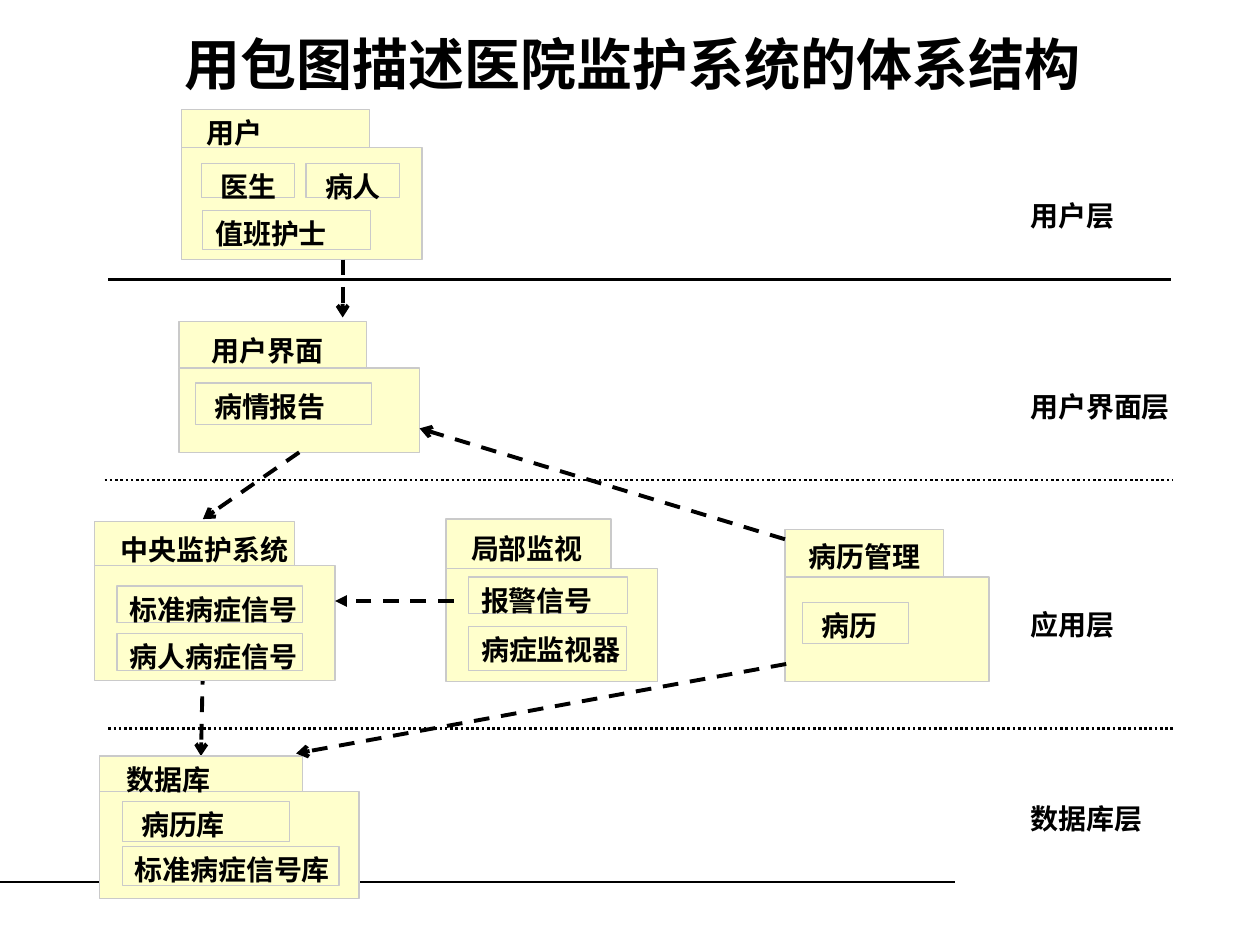
from dataclasses import dataclass

from lxml.etree import SubElement
from pptx import Presentation
from pptx.dml.color import RGBColor as RGB
from pptx.enum.dml import MSO_LINE as Dash
from pptx.enum.shapes import MSO_CONNECTOR as Conn, MSO_SHAPE as Form
from pptx.enum.text import MSO_ANCHOR as Anchor, PP_ALIGN as Align
from pptx.oxml.ns import qn
from pptx.util import Inches, Pt


@dataclass(frozen=True)
class Theme:
    ink: RGB = RGB(0, 0, 0)
    pack: RGB = RGB(0xFF, 0xFF, 0xCC)
    edge: RGB = RGB(0xCA, 0xCA, 0xCA)
    head: Pt = Pt(32)
    body: Pt = Pt(16)
    thin: Pt = Pt(0.75)
    rule: Pt = Pt(1.5)
    bold: Pt = Pt(2.25)
    sans: str = "Arial"
    serif: str = "Times New Roman"


LOOK = Theme()
LINE_H = 0.37
GROW = 1.14
PACKS = {
    "user": ("用户", (1.44, 0.87, 1.49, 0.3), (1.44, 1.17, 1.91, 0.89), (1.54, 0.87), [
        ("医生", (1.6, 1.3, 0.74, 0.27), 0.15),
        ("值班护士", (1.61, 1.67, 1.33, 0.31), 0.1),
        ("病人", (2.43, 1.3, 0.74, 0.27), 0.15)]),
    "record": ("病历管理", (6.23, 4.2, 1.26, 0.38), (6.23, 4.58, 1.62, 0.83), (6.32, 4.23), [
        ("病历", (6.37, 4.78, 0.84, 0.33), 0.15)]),
    "ui": ("用户界面", (1.42, 2.55, 1.49, 0.37), (1.42, 2.92, 1.91, 0.67), (1.58, 2.6), [
        ("病情报告", (1.55, 3.04, 1.4, 0.33), 0.15)]),
    "local": ("局部监视", (3.54, 4.12, 1.31, 0.41), (3.54, 4.51, 1.68, 0.9), (3.64, 4.17), [
        ("报警信号", (3.72, 4.58, 1.26, 0.29), 0.1),
        ("病症监视器", (3.72, 4.97, 1.25, 0.35), 0.1)]),
    "center": ("中央监护系统", (0.75, 4.14, 1.59, 0.35), (0.75, 4.49, 1.91, 0.91), (0.86, 4.18), [
        ("病人病症信号", (0.93, 5.03, 1.47, 0.29), 0.1),
        ("标准病症信号", (0.93, 4.65, 1.47, 0.29), 0.1)]),
    "data": ("数据库", (0.79, 6, 1.61, 0.28), (0.79, 6.28, 2.06, 0.85), (0.91, 6), [
        ("病历库", (0.97, 6.36, 1.33, 0.32), 0.15),
        ("标准病症信号库", (0.97, 6.72, 1.72, 0.31), 0.1)]),
}
RULES = [(0.86, 9.29, 2.22, None), (0.83, 9.31, 3.81, Dash.ROUND_DOT),
         (0.86, 9.32, 5.78, Dash.ROUND_DOT)]
LAYERS = [("用户层", 1.53), ("用户界面层", 3.04), ("应用层", 4.77), ("数据库层", 6.31)]
LINKS = [((2.72, 2.06), (2.72, 2.52), "arrow"),
         ((6.23, 4.28), (3.33, 3.4), "arrow"),
         ((3.6, 4.77), (2.66, 4.77), "triangle"),
         ((6.24, 5.27), (2.35, 5.98), "arrow")]


def put(obj, **vals):
    for key, val in vals.items():
        setattr(obj, key, val)


def add_text(slide, text, box, inset=0.1, align=Align.LEFT,
             anchor=Anchor.TOP, size=LOOK.body, face=LOOK.serif):
    frame = slide.shapes.add_textbox(*map(Inches, box)).text_frame
    put(frame, word_wrap=True, vertical_anchor=anchor, margin_left=Inches(inset),
        margin_right=Inches(0.1), margin_top=Inches(0.05), margin_bottom=Inches(0.05))
    para = frame.paragraphs[0]
    para.alignment = align
    run = para.add_run()
    run.text = text
    put(run.font, size=size, name=face, bold=True)
    run.font.color.rgb = LOOK.ink


def add_rect(slide, box, fill=None):
    rect = slide.shapes.add_shape(Form.RECTANGLE, *map(Inches, box))
    rect.shadow.inherit = False
    if fill is None:
        rect.fill.background()
    else:
        rect.fill.solid()
        rect.fill.fore_color.rgb = fill
    rect.line.color.rgb = LOOK.edge
    rect.line.width = LOOK.thin
    return rect


def add_line(slide, start, end, width, dash=None):
    line = slide.shapes.add_connector(Conn.STRAIGHT, *map(Inches, start + end))
    line.line.color.rgb = LOOK.ink
    put(line.line, width=width, dash_style=dash)
    SubElement(line._element.spPr, qn("a:effectLst"))
    return line


def add_link(slide, start, end, tip="arrow"):
    link = add_line(slide, start, end, LOOK.bold, Dash.DASH)
    SubElement(link.line._get_or_add_ln(), qn("a:tailEnd"), type=tip)
    return link


def add_pack(slide, name, tab, body, spot, items):
    top = add_rect(slide, tab, LOOK.pack)
    base = add_rect(slide, body, LOOK.pack)
    add_text(slide, name, (*spot, tab[2] * GROW, LINE_H))
    for text, box, inset in items:
        left, y, width, _ = box
        add_rect(slide, box)
        add_text(slide, text, (left, y, width * GROW, LINE_H), inset)
    return top, base


def main():
    deck = Presentation()
    put(deck, slide_width=Inches(10), slide_height=Inches(7.5))
    slide = deck.slides.add_slide(deck.slide_layouts[6])
    add_line(slide, (0, 7), (7.58, 7), LOOK.thin)
    add_text(slide, "用包图描述医院监护系统的体系结构", (0.5, 0.25, 9.05, 0.5),
             align=Align.CENTER, anchor=Anchor.MIDDLE, size=LOOK.head, face=LOOK.sans)
    drop = add_link(slide, (1.61, 5.31), (1.61, 6))
    packs = {key: add_pack(slide, *pack) for key, pack in PACKS.items()}
    drop.end_connect(packs["data"][0], 0)
    for left, right, y, dash in RULES:
        add_line(slide, (left, y), (right, y), LOOK.rule, dash)
    for start, end, tip in LINKS:
        add_link(slide, start, end, tip)
    call = add_link(slide, (2.4, 3.6), (1.61, 4.12))
    call.begin_connect(packs["ui"][1], 2)
    for text, y in LAYERS:
        add_text(slide, text, (8.08, y, 1.67, LINE_H))
    deck.save("out.pptx")


if __name__ == "__main__":
    main()
